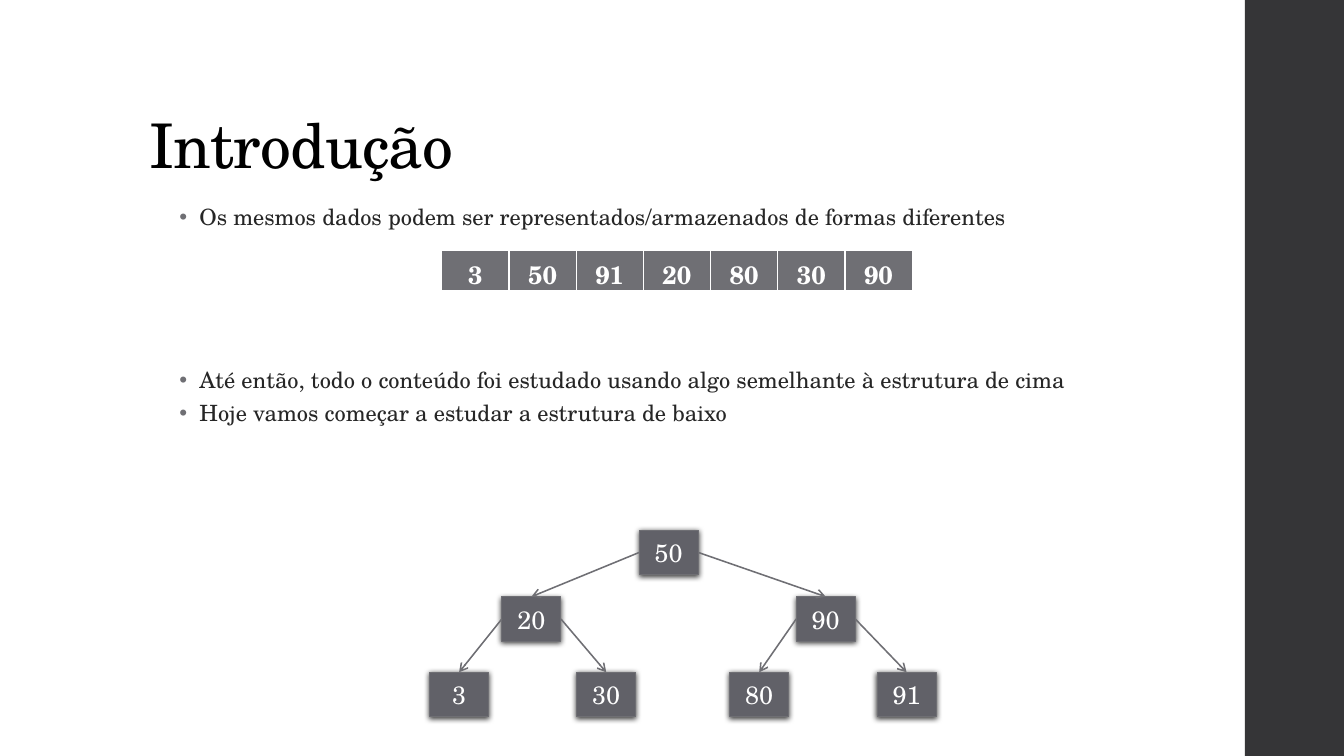
"""Builds the introduction slide: one set of values as an array and as a binary tree."""
from dataclasses import dataclass

from lxml.etree import SubElement
from pptx import Presentation
from pptx.dml.color import RGBColor
from pptx.enum.shapes import MSO_CONNECTOR, MSO_SHAPE
from pptx.enum.text import MSO_ANCHOR, PP_ALIGN
from pptx.oxml.ns import qn
from pptx.util import Inches, Pt

FONT = "TeX Gyre Schola"
WIDTH, HEIGHT = Inches(13.333), Inches(7.5)
WHITE, BLACK, INK = "FFFFFF", "000000", "262626"
GREY, NODE_FILL, BAND_FILL = "6F6F74", "616168", "353537"
NODE_WIDTH, NODE_HEIGHT = 4.4, 5.9
LEVEL_TOPS = (70.13, 78.93, 88.93)
TOP, LEFT, RIGHT = 0, 1, 3


@dataclass(frozen=True)
class Node:
    """A tree node: its value, level and centre as a percentage of the width."""
    value: str
    level: int
    centre: float


@dataclass(frozen=True)
class Edge:
    """An arrow from one side of a parent to the top of a child."""
    parent: str
    child: str
    side: int


@dataclass(frozen=True)
class Bullet:
    """A bulleted sentence and the space above it in points."""
    text: str
    before: float = 3


ARRAY = ("3", "50", "91", "20", "80", "30", "90")
BULLETS = (
    Bullet("Os mesmos dados podem ser representados/armazenados de formas diferentes"),
    Bullet("Até então, todo o conteúdo foi estudado usando algo semelhante à estrutura de cima", 96),
    Bullet("Hoje vamos começar a estudar a estrutura de baixo"),
)
NODES = (
    Node("50", 0, 49.76),
    Node("20", 1, 39.54), Node("90", 1, 61.44),
    Node("3", 2, 34.16), Node("30", 2, 45.11), Node("80", 2, 56.49), Node("91", 2, 67.46),
)
EDGES = (
    Edge("50", "20", LEFT), Edge("50", "90", RIGHT),
    Edge("20", "3", LEFT), Edge("20", "30", RIGHT),
    Edge("90", "80", LEFT), Edge("90", "91", RIGHT),
)


def across(percent: float) -> int:
    """Turn a percentage of the slide's width into a length."""
    return round(WIDTH * percent / 100)


def down(percent: float) -> int:
    """Turn a percentage of the slide's height into a length."""
    return round(HEIGHT * percent / 100)


def colour(value: str) -> RGBColor:
    """Turn a hex string into a colour."""
    return RGBColor.from_string(value)


def style(para, size: float, ink: str, bold: bool = False) -> None:
    """Format every run of a paragraph."""
    for span in para.runs:
        span.font.name = FONT
        span.font.size = Pt(size)
        span.font.bold = bold
        span.font.color.rgb = colour(ink)


def add_box(page, left: float, top: float, width: float, height: float, fill: str):
    """Add a flat filled rectangle, placed in percentages of the slide."""
    box = page.shapes.add_shape(
        MSO_SHAPE.RECTANGLE, across(left), down(top), across(width), down(height))
    box.shadow.inherit = False
    box.fill.solid()
    box.fill.fore_color.rgb = colour(fill)
    box.line.fill.background()
    return box


def add_text_frame(page, left: float, top: float, width: float, height: float):
    """Add a wrapping text box and return its text frame."""
    box = page.shapes.add_textbox(across(left), down(top), across(width), down(height))
    box.text_frame.word_wrap = True
    return box.text_frame


def add_title(page, text: str) -> None:
    """Add the slide title, resting on the bottom of its box."""
    frame = add_text_frame(page, 10.35, 5.33, 79.5, 19.33)
    frame.vertical_anchor = MSO_ANCHOR.BOTTOM
    frame.text = text
    para = frame.paragraphs[0]
    para.line_spacing = 0.9
    style(para, 44, BLACK)
    para.runs[0].font._element.set("spc", "-50")


def add_bullets(page, bullets: tuple[Bullet, ...]) -> None:
    """Add the bulleted sentences."""
    frame = add_text_frame(page, 10.35, 26.67, 70.5, 63.47)
    frame.text = "\n".join(bullet.text for bullet in bullets)
    for para, bullet in zip(frame.paragraphs, bullets):
        para.line_spacing = 0.9
        para.space_before, para.space_after = Pt(bullet.before), Pt(3)
        style(para, 16, INK)
        properties = para._p.get_or_add_pPr()
        properties.set("marL", str(Inches(0.5)))
        properties.set("indent", str(Inches(-0.2)))
        SubElement(SubElement(properties, qn("a:buClr")), qn("a:srgbClr"), val=GREY)
        SubElement(properties, qn("a:buFont"), typeface="Arial")
        SubElement(properties, qn("a:buChar"), char="•")


def add_border(cell, side: str, points: float) -> None:
    """Draw one white border of a table cell."""
    line = SubElement(cell._tc.get_or_add_tcPr(), qn(f"a:ln{side}"), w=str(Pt(points)))
    SubElement(SubElement(line, qn("a:solidFill")), qn("a:srgbClr"), val=WHITE)


def add_array(page, values: tuple[str, ...]) -> None:
    """Add the array as a table of one row."""
    frame = page.shapes.add_table(
        1, len(values), across(32.87), down(33.07), across(35), down(5.47))
    for cell, value in zip(frame.table.rows[0].cells, values):
        for side, points in (("L", 1), ("R", 1), ("T", 1), ("B", 3)):
            add_border(cell, side, points)
        cell.fill.solid()
        cell.fill.fore_color.rgb = colour(GREY)
        cell.text_frame.text = value
        para = cell.text_frame.paragraphs[0]
        para.alignment = PP_ALIGN.CENTER
        style(para, 18, WHITE, bold=True)


def add_node(page, node: Node):
    """Add a tree node with its soft shadow."""
    box = add_box(page, node.centre - NODE_WIDTH / 2, LEVEL_TOPS[node.level],
                  NODE_WIDTH, NODE_HEIGHT, NODE_FILL)
    box.line.color.rgb = colour(GREY)
    box.line.width = Pt(0.75)
    effects = box._element.spPr.find(qn("a:effectLst"))
    shadow = SubElement(effects, qn("a:outerShdw"), blurRad=str(Pt(4)), dist=str(Pt(1.2)),
                        dir="5400000", rotWithShape="0")
    SubElement(SubElement(shadow, qn("a:srgbClr"), val=BLACK), qn("a:alpha"), val="75000")
    frame = box.text_frame
    frame.vertical_anchor = MSO_ANCHOR.MIDDLE
    frame.text = node.value
    frame.paragraphs[0].alignment = PP_ALIGN.CENTER
    style(frame.paragraphs[0], 18, WHITE)
    return box


def add_edge(page, parent, child, side: int) -> None:
    """Join a side of the parent to the top of the child with an arrow."""
    arrow = page.shapes.add_connector(MSO_CONNECTOR.STRAIGHT, 0, 0, 0, 0)
    arrow.begin_connect(parent, side)
    arrow.end_connect(child, TOP)
    arrow.line.color.rgb = colour(GREY)
    arrow.line.width = Pt(1.1)
    SubElement(arrow.line._get_or_add_ln(), qn("a:tailEnd"), type="arrow")
    SubElement(arrow._element.spPr, qn("a:effectLst"))


def main() -> None:
    """Build and save the deck."""
    deck = Presentation()
    deck.slide_width, deck.slide_height = WIDTH, HEIGHT
    page = deck.slides.add_slide(deck.slide_layouts[6])
    add_box(page, 92.63, 0, 7.37, 100, BAND_FILL)
    add_title(page, "Introdução")
    add_bullets(page, BULLETS)
    add_array(page, ARRAY)
    boxes = {node.value: add_node(page, node) for node in NODES}
    for edge in EDGES:
        add_edge(page, boxes[edge.parent], boxes[edge.child], edge.side)
    deck.save("out.pptx")


if __name__ == "__main__":
    main()
